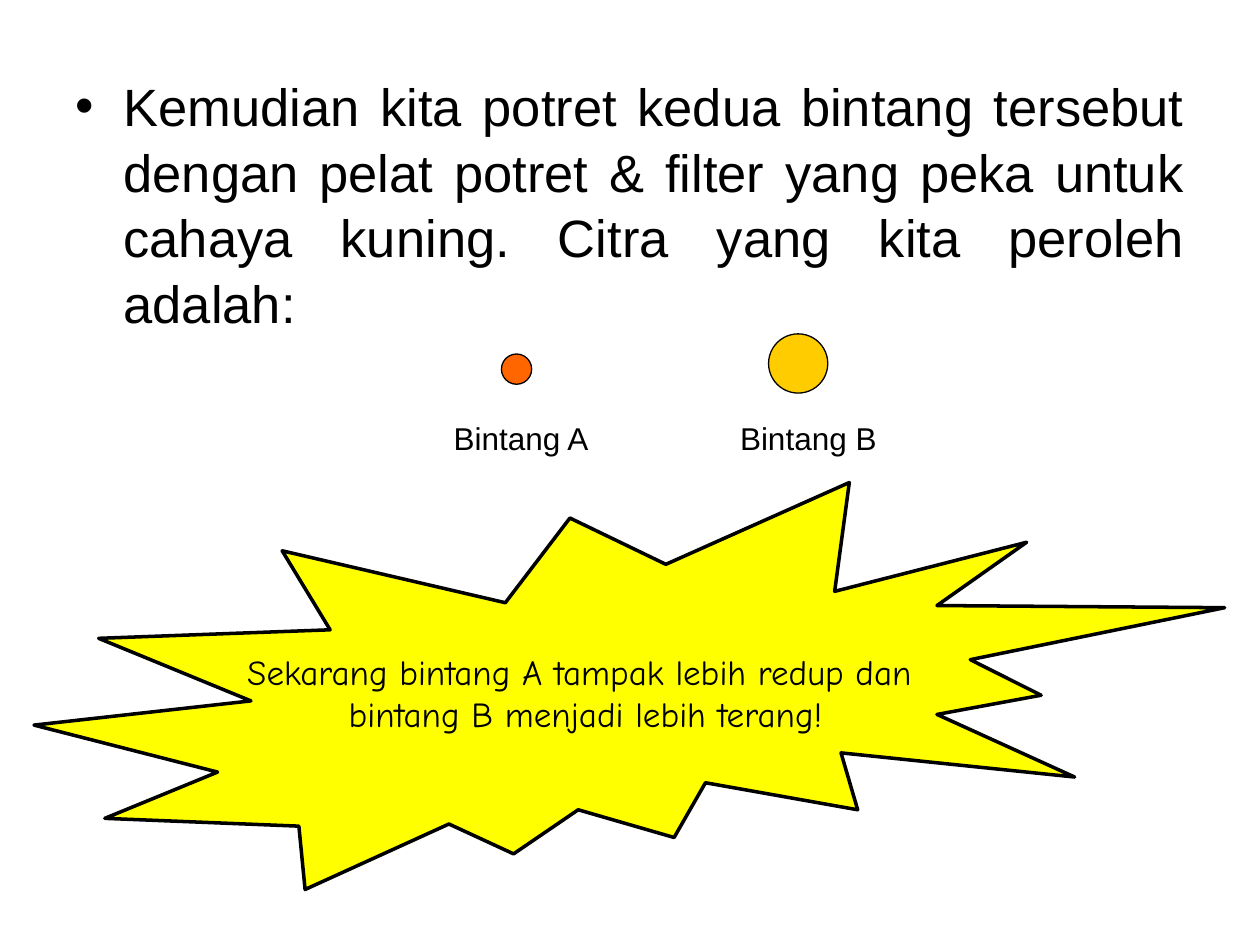
from pptx import Presentation
from pptx.dml.color import RGBColor
from pptx.enum.shapes import MSO_SHAPE
from pptx.enum.text import MSO_ANCHOR, MSO_AUTO_SIZE, PP_ALIGN
from pptx.util import Inches, Pt

HEX = {"ink": "000000", "amber": "FFCC00", "orange": "FF6600", "burst": "FFFF00"}


def color(name):
    return RGBColor.from_string(HEX[name])


def place(shape, box):
    shape.left, shape.top, shape.width, shape.height = map(Inches, box)


def write(frame, lines, size, font, align):
    """Fill a frame with one paragraph per line."""
    frame.text = "\n".join(lines)
    for para in frame.paragraphs:
        para.alignment = align
        for run in para.runs:
            run.font.size = Pt(size)
            run.font.name = font
            run.font.color.rgb = color("ink")


def draw(slide, kind, box, fill, width):
    shape = slide.shapes.add_shape(kind, *map(Inches, box))
    shape.shadow.inherit = False
    shape.fill.solid()
    shape.fill.fore_color.rgb = color(fill)
    shape.line.color.rgb = color("ink")
    shape.line.width = Pt(width)
    return shape


def add_body(slide, box, text):
    body = slide.placeholders[1]
    place(body, box)
    frame = body.text_frame
    frame.auto_size = MSO_AUTO_SIZE.NONE
    write(frame, [text], 30, "Arial", PP_ALIGN.JUSTIFY)
    para = frame.paragraphs[0]
    para.space_before = Pt(7.5)
    para.line_spacing = 1.04
    props = para._p.get_or_add_pPr()
    props.set("marL", str(Inches(0.38)))
    props.set("indent", str(Inches(-0.38)))


def add_star(slide, box, name, fill, size, dot):
    """Put a disc at an offset inside the box and its label at the bottom."""
    left, top, width, height = box
    row = 0.39
    draw(slide, MSO_SHAPE.OVAL, (left + dot[0], top + dot[1], size, size), fill, 0.75)
    label = slide.shapes.add_textbox(
        *map(Inches, (left, top + height - row, width, row)))
    frame = label.text_frame
    frame.word_wrap = False
    frame.vertical_anchor = MSO_ANCHOR.MIDDLE
    write(frame, [name], 18, "Arial", PP_ALIGN.CENTER)


def add_burst(slide, box, lines):
    burst = draw(slide, MSO_SHAPE.EXPLOSION2, box, "burst", 2)
    frame = burst.text_frame
    frame.word_wrap = False
    frame.vertical_anchor = MSO_ANCHOR.MIDDLE
    write(frame, lines, 20, "Comic Neue", PP_ALIGN.CENTER)


def main():
    deck = Presentation()
    deck.slide_width, deck.slide_height = Inches(10), Inches(7.5)
    slide = deck.slides.add_slide(deck.slide_layouts[1])
    title = slide.shapes.title._element
    title.getparent().remove(title)

    # Statement
    add_body(slide, (0.5, 0.52, 9, 6.18),
             "Kemudian kita potret kedua bintang tersebut dengan pelat potret "
             "& filter yang peka untuk cahaya kuning. Citra yang kita peroleh "
             "adalah:")

    # Two stars, side by side
    stars = [("Bintang A", "orange", 0.24, (0.79, 0.16)),
             ("Bintang B", "amber", 0.47, (0.63, 0))]
    for col, star in enumerate(stars):
        add_star(slide, (3.19 + col * 2.28, 2.65, 1.89, 1.02), *star)

    # Conclusion
    add_burst(slide, (0.27, 3.83, 9.45, 3.23),
              ["Sekarang bintang A tampak lebih redup dan ",
               "bintang B menjadi lebih terang!"])
    deck.save("out.pptx")


if __name__ == "__main__":
    main()
